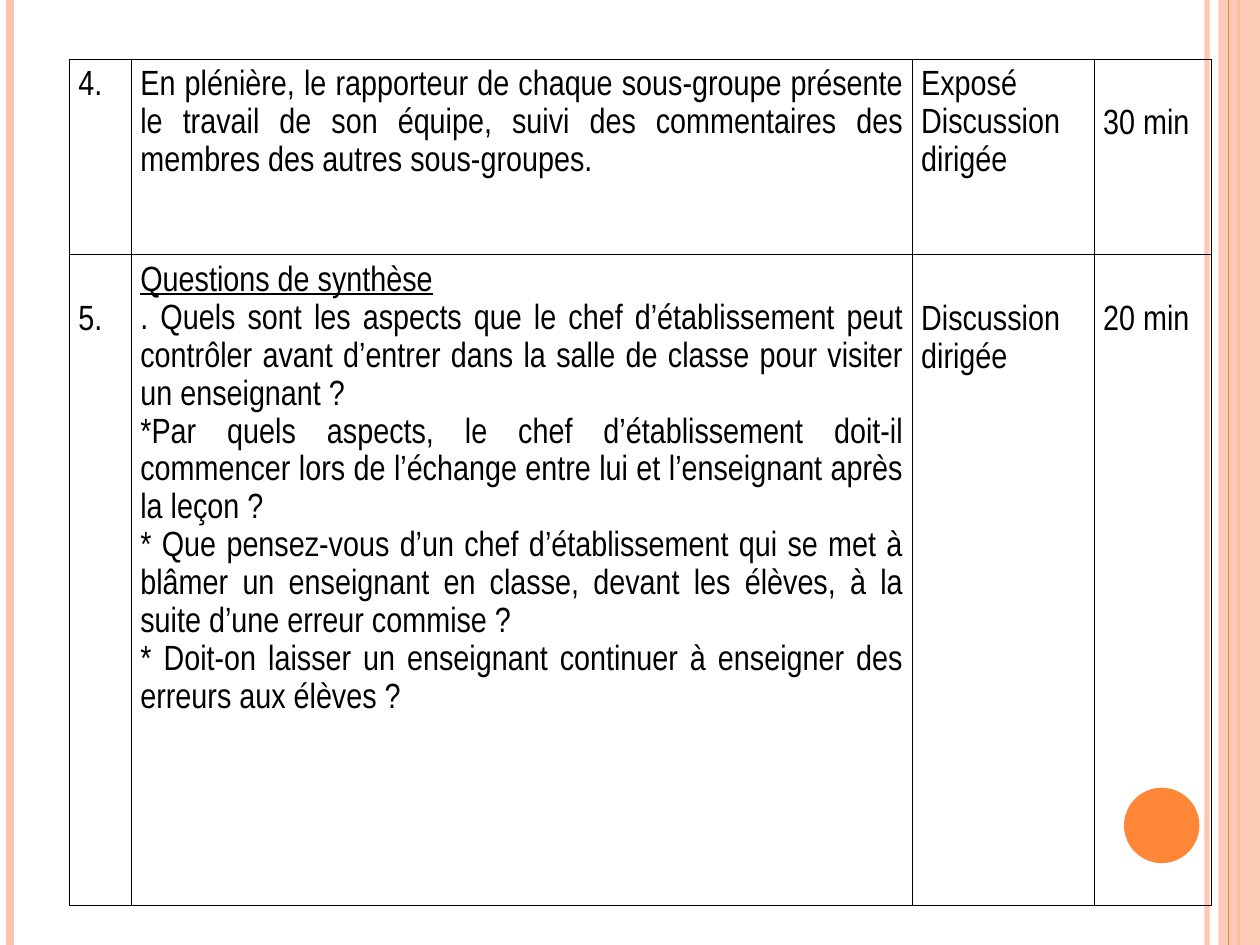
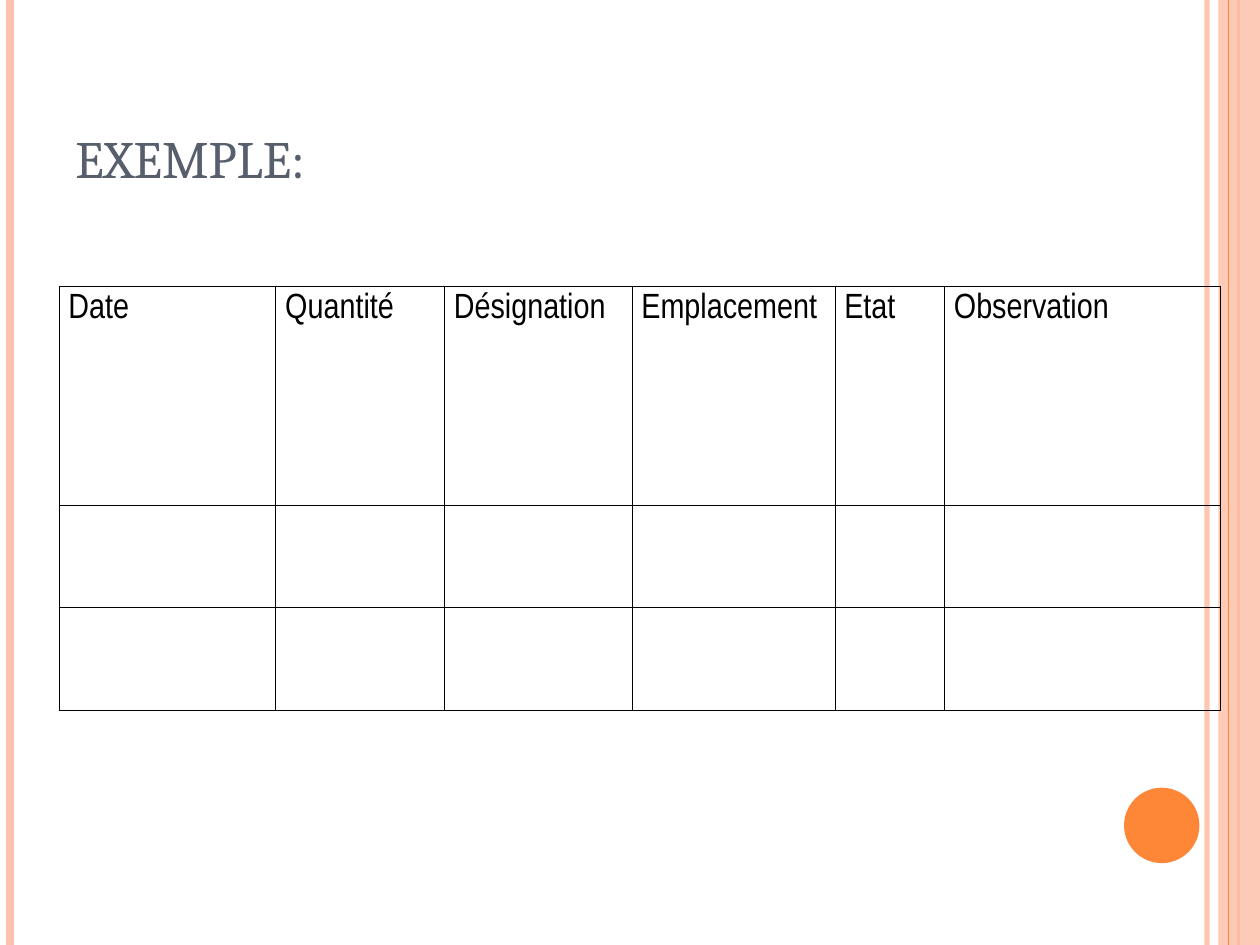
"""Build two slides: the end of a session plan table and a sample inventory table."""
import lxml.etree
import pptx
import pptx.dml.color
import pptx.enum.shapes
import pptx.enum.text
import pptx.oxml.ns
import pptx.util

Cm = pptx.util.Cm
Pt = pptx.util.Pt
qn = pptx.oxml.ns.qn
RGBColor = pptx.dml.color.RGBColor
MSO_SHAPE = pptx.enum.shapes.MSO_SHAPE

COLORS = {"peach": "FEC3AE", "orange": "FE8637", "slate": "575F6D", "black": "000000"}
BODY_FONT = "Arial Narrow"
TITLE_FONT = "Cambria"
SLIDE_WIDTH, SLIDE_HEIGHT = 25.4, 19.05
PADDING = 0.13
ONE_LINE = 0.78


def paint(color_format, name, opacity=100):
    color_format.rgb = RGBColor.from_string(COLORS[name])
    if opacity < 100:
        color = color_format._xFill.find(qn("a:srgbClr"))
        lxml.etree.SubElement(color, qn("a:alpha")).set("val", str(opacity * 1000))


def add_grid(slide, left, top, widths, heights, side_padding):
    frame = slide.shapes.add_table(len(heights), len(widths), Cm(left), Cm(top),
                                   Cm(sum(widths)), Cm(sum(heights)))
    table = frame.table
    table.first_row = table.horz_banding = False
    for column, width in zip(table.columns, widths):
        column.width = Cm(width)
    for row, height in zip(table.rows, heights):
        row.height = Cm(height)
    for cell in table.iter_cells():
        cell.margin_left = cell.margin_right = Cm(side_padding)
        cell.margin_top = cell.margin_bottom = Cm(PADDING)
        properties = cell._tc.get_or_add_tcPr()
        for side in ("a:lnL", "a:lnR", "a:lnT", "a:lnB"):
            border = lxml.etree.SubElement(properties, qn(side), w=str(Pt(0.45)))
            fill = lxml.etree.SubElement(border, qn("a:solidFill"))
            lxml.etree.SubElement(fill, qn("a:srgbClr"), val=COLORS["black"])
        cell.fill.background()
    return table


presentation = pptx.Presentation()
presentation.slide_width = Cm(SLIDE_WIDTH)
presentation.slide_height = Cm(SLIDE_HEIGHT)
blank_layout = presentation.slide_layouts[6]
plan_slide = presentation.slides.add_slide(blank_layout)
example_slide = presentation.slides.add_slide(blank_layout)

stripes_behind_band = [
    (24.33, 3, "peach", 93),
    (0.21, 4.5, "peach", 100),
    (24.97, 1.5, "orange", 100),
]
stripes_over_band = [(24.77, 0.75, "orange", 100)]

for slide in presentation.slides:
    for stripes in (stripes_behind_band, stripes_over_band):
        for x, weight, color, opacity in stripes:
            stripe = slide.shapes.add_connector(
                pptx.enum.shapes.MSO_CONNECTOR.STRAIGHT, Cm(x), 0, Cm(x), Cm(SLIDE_HEIGHT))
            stripe.line.width = Pt(weight)
            stripe.line.fill.solid()
            paint(stripe.line.fill.fore_color, color, opacity)
            lxml.etree.SubElement(stripe._element.spPr, qn("a:effectLst"))
        if stripes is stripes_behind_band:
            band = slide.shapes.add_shape(
                MSO_SHAPE.RECTANGLE, Cm(24.56), 0, Cm(0.84), Cm(SLIDE_HEIGHT))
    disc = slide.shapes.add_shape(MSO_SHAPE.OVAL, Cm(22.66), Cm(15.88), Cm(1.52), Cm(1.52))
    for shape, color, opacity in ((band, "peach", 87), (disc, "orange", 100)):
        shape.shadow.inherit = False
        shape.line.fill.background()
        shape.fill.solid()
        paint(shape.fill.fore_color, color, opacity)

plan_rows = [
    [
        (0, ["4."]),
        (0, ["En plénière, le rapporteur de chaque sous-groupe présente le travail de son "
             "équipe, suivi des commentaires des membres des autres sous-groupes."]),
        (0, ["Exposé", "Discussion", "dirigée"]),
        (1, ["30 min"]),
    ],
    [
        (1, ["5."]),
        (0, ["Questions de synthèse",
             ". Quels sont les aspects que le chef d’établissement peut contrôler avant "
             "d’entrer dans la salle de classe pour visiter un enseignant ?",
             "*Par quels aspects, le chef d’établissement doit-il commencer lors de "
             "l’échange entre lui et l’enseignant après la leçon ?",
             "* Que pensez-vous d’un chef d’établissement qui se met à blâmer un enseignant "
             "en classe, devant les élèves, à la suite d’une erreur commise ?",
             "* Doit-on laisser un enseignant continuer à enseigner des erreurs aux élèves ?"]),
        (1, ["Discussion", "dirigée"]),
        (1, ["20 min"]),
    ],
]
plan_table = add_grid(plan_slide, 1.4, 1.19, [1.25, 15.74, 3.67, 2.35], [3.94, 13.13], 0.18)
for row_index, plan_row in enumerate(plan_rows):
    for column_index, (lines_down, texts) in enumerate(plan_row):
        cell = plan_table.cell(row_index, column_index)
        cell.margin_top = Cm(PADDING + lines_down * ONE_LINE)
        cell.text = "\n".join(texts)
        for paragraph in cell.text_frame.paragraphs:
            paragraph.line_spacing = 1.15
plan_table.cell(1, 1).text_frame.paragraphs[0].font.underline = True

title_box = example_slide.shapes.add_textbox(Cm(1.27), Cm(0.76), Cm(20.75), Cm(3.18))
title_box.text_frame.word_wrap = True
title_box.text_frame.vertical_anchor = pptx.enum.text.MSO_ANCHOR.BOTTOM
title = title_box.text_frame.paragraphs[0]
title.text = "EXEMPLE:"
title.font.size = Pt(30)
title.font.name = TITLE_FONT
paint(title.font.color, "slate")

headings = ["Date", "Quantité", "Désignation", "Emplacement", "Etat", "Observation"]
example_table = add_grid(example_slide, 1.19, 5.77, [4.37, 3.4, 3.78, 4.09, 2.21, 5.56],
                         [4.42, 2.06, 2.06], 0.19)
for column_index, heading in enumerate(headings):
    example_table.cell(0, column_index).text = heading

for table in (plan_table, example_table):
    for cell in table.iter_cells():
        for paragraph in cell.text_frame.paragraphs:
            paragraph.alignment = pptx.enum.text.PP_ALIGN.JUSTIFY
            paragraph.font.size = Pt(20)
            paragraph.font.name = BODY_FONT
            paint(paragraph.font.color, "black")

presentation.save("out.pptx")
